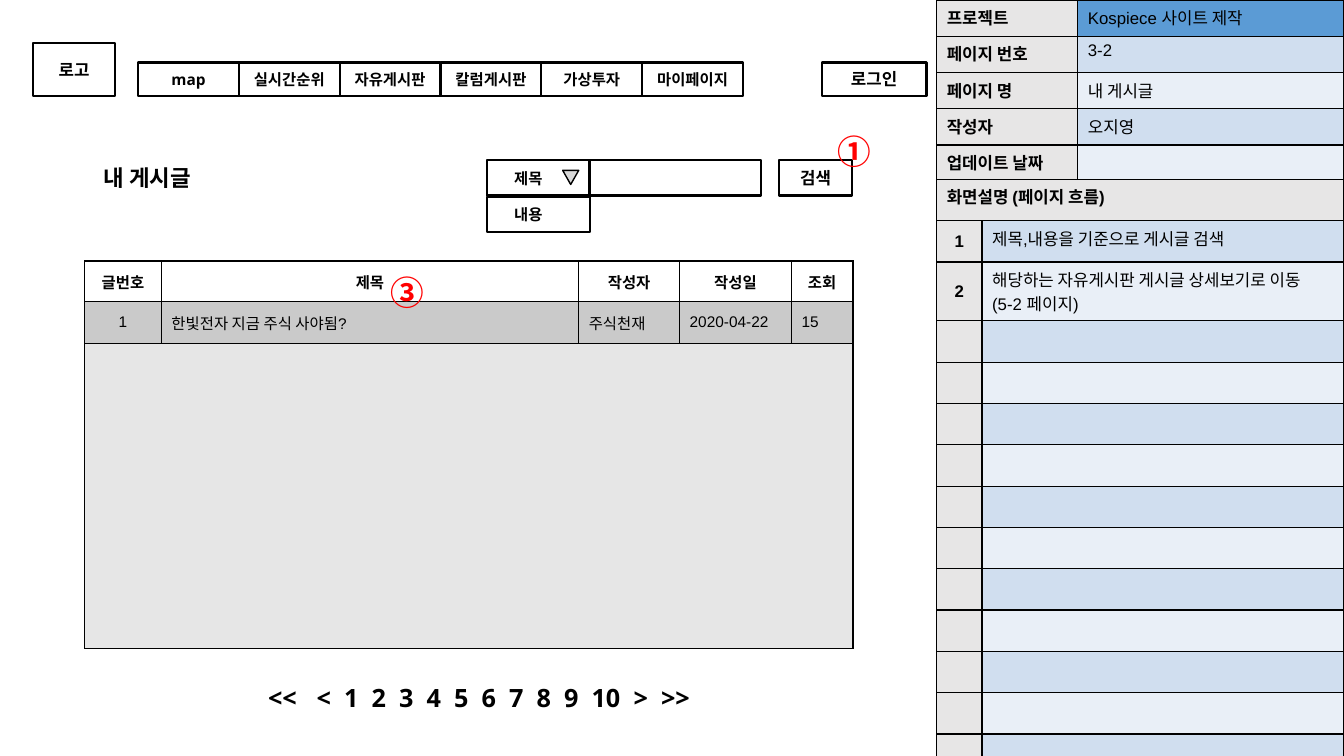
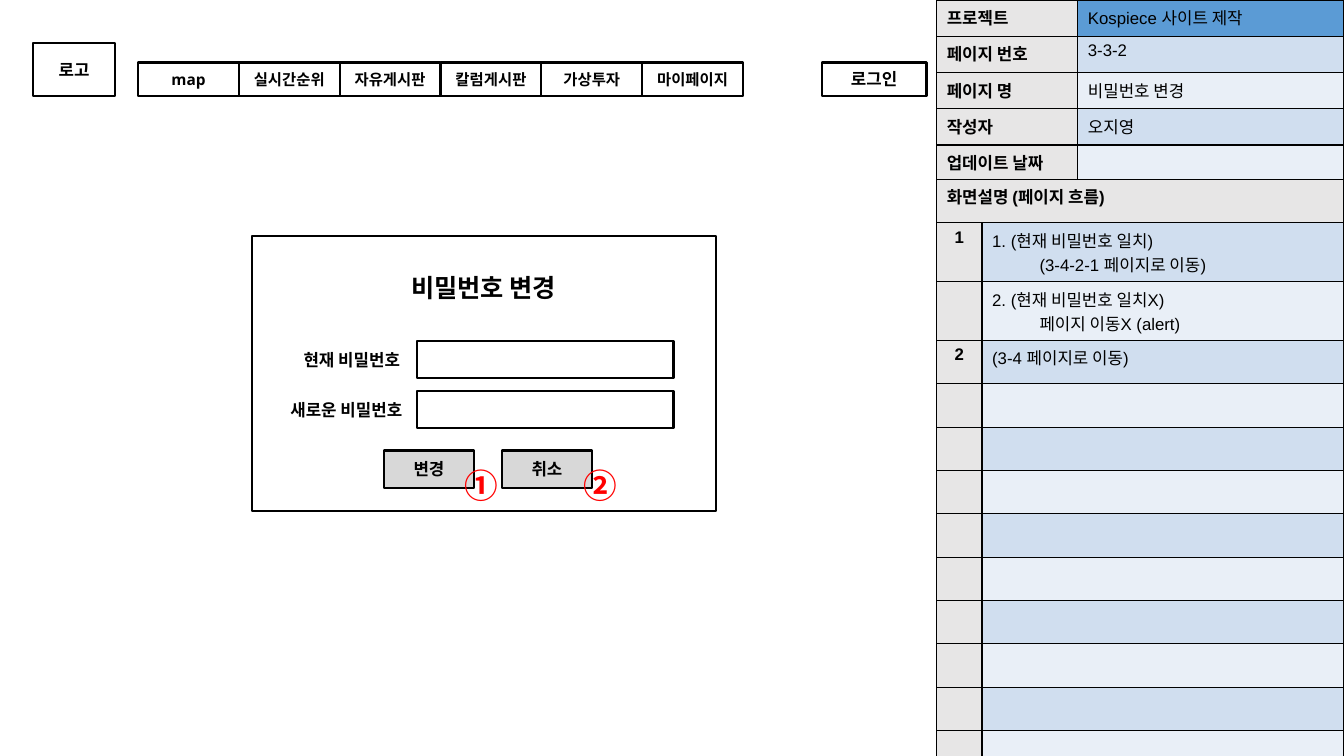
import dataclasses

import lxml.etree
import pptx
import pptx.dml.color
import pptx.enum.shapes
import pptx.enum.text
import pptx.oxml.ns
import pptx.util

Inches = pptx.util.Inches
Align = pptx.enum.text.PP_ALIGN
Anchor = pptx.enum.text.MSO_ANCHOR
Preset = pptx.enum.shapes.MSO_SHAPE
qn = pptx.oxml.ns.qn


@dataclasses.dataclass(frozen=True)
class Theme:
    ink: str = "000000"
    red: str = "FF0000"
    white: str = "FFFFFF"
    label_gray: str = "E7E6E6"
    button_gray: str = "D8D8D8"
    row_gray: str = "CACACA"
    empty_gray: str = "E6E6E6"
    project_blue: str = "5B9BD5"
    band_dark: str = "D0DEEF"
    band_light: str = "E9EFF7"
    screen_font: str = "Open Sans"
    table_font: str = "Arial"
    korean_font: str = "Noto Sans CJK KR"
    small: int = 11
    body: int = 12
    heading: int = 16
    large: int = 18
    badge: int = 24


theme = Theme()


def write(frame, text, size=theme.body, bold=True, color=theme.ink,
          font=theme.screen_font, align=Align.CENTER, indents=(0, 0), gaps=()):
    """Fill a text frame.

    indents: inches for the first and the later lines.
    gaps: points added to the first and the later spaces between words.
    """
    for number, line in enumerate(text.split("\n")):
        para = frame.paragraphs[0] if number == 0 else frame.add_paragraph()
        para.alignment = align
        properties = para._p.get_or_add_pPr()
        properties.set("marL", str(Inches(indents[min(number, 1)])))
        properties.set("indent", "0")
        if not line:
            lxml.etree.SubElement(para._p, qn("a:endParaRPr"), sz=str(size * 100))
            continue
        pieces = line.replace(" ", "\n \n").split("\n") if gaps else [line]
        for index, piece in enumerate(pieces):
            span = para.add_run()
            span.text = piece
            span.font.size = pptx.util.Pt(size)
            span.font.bold = bold
            span.font.name = font
            span.font.color.rgb = pptx.dml.color.RGBColor.from_string(color)
            run_properties = span._r.get_or_add_rPr()
            lxml.etree.SubElement(run_properties, qn("a:ea"), typeface=theme.korean_font)
            if piece == " ":
                run_properties.set("spc", str(round(gaps[min(index // 2, 1)] * 100)))


def add_grid(page, left, top, widths, heights, rows):
    """Add a bordered table; a row with one cell spans the full width."""
    table = page.shapes.add_table(len(heights), len(widths), Inches(left), Inches(top),
                                  Inches(sum(widths)), Inches(sum(heights))).table
    for column, width in zip(table.columns, widths):
        column.width = Inches(width)
    for index, (height, cells) in enumerate(zip(heights, rows)):
        table.rows[index].height = Inches(height)
        if len(cells) == 1:
            table.cell(index, 0).merge(table.cell(index, len(widths) - 1))
            cells = cells + [("", cells[0][1], Anchor.TOP, {})] * (len(widths) - 1)
        for position, (text, fill, anchor, style) in enumerate(cells):
            cell = table.cell(index, position)
            cell.vertical_anchor = anchor
            for side in ("lnL", "lnR", "lnT", "lnB"):
                border = lxml.etree.SubElement(cell._tc.get_or_add_tcPr(), qn("a:" + side),
                                               w=str(pptx.util.Pt(1)))
                solid = lxml.etree.SubElement(border, qn("a:solidFill"))
                lxml.etree.SubElement(solid, qn("a:srgbClr"), val=theme.ink)
            cell.fill.solid()
            cell.fill.fore_color.rgb = pptx.dml.color.RGBColor.from_string(fill)
            write(cell.text_frame, text, font=theme.table_font, **style)


# Formats used by many cells and boxes
label = {"align": Align.LEFT}
value = {"align": Align.LEFT, "bold": False}
hanging = {**value, "indents": (0, 0.47)}
small = {"size": theme.small}
option = {**small, "align": Align.LEFT, "indents": (0.17, 0)}
pager = {"size": theme.large, "gaps": (9.4, 4.7)}

# Boxes: text, left, top, width, height, fill, outlined, format
menu = ["map", "실시간순위", "자유게시판", "칼럼게시판", "가상투자", "마이페이지"]
header_boxes = [
    ("로고", 0.33, 0.43, 0.81, 0.52, None, True, {}),
    ("로그인", 8.15, 0.62, 1.04, 0.33, None, True, {}),
] + [(name, 1.37 + place, 0.62, 1, 0.33, None, True, small) for place, name in enumerate(menu)]

screens = [
    {
        "number": "3-2",
        "title": "내 게시글",
        "title_at": (0.93, 1.58, 1.87, 0.37),
        "title_style": {"size": theme.heading, "align": Align.LEFT},
        "note_heights": [0.41] * 13 + [0.32],
        "note_anchor": Anchor.MIDDLE,
        "notes": [("1", "제목,내용을 기준으로 게시글 검색", value),
                  ("2", "해당하는 자유게시판 게시글 상세보기로 이동\n(5-2 페이지)", value)],
        "boxes": [
            ("검색", 7.73, 1.59, 0.72, 0.35, None, True, {}),
            ("제목", 4.83, 1.59, 1.02, 0.35, None, True, option),
            ("내용", 4.83, 1.95, 1.02, 0.35, None, True, option),
            ("", 5.84, 1.59, 1.71, 0.35, None, True, {}),
            ("<< < 1 2 3 4 5 6 7 8 9 10 > >>", 2.31, 6.73, 4.88, 0.37, None, False, pager),
        ],
        "badges": [("①", 8.21, 1.25), ("③", 3.77, 2.65)],
    },
    {
        "number": "3-3-2",
        "title": "비밀번호 변경",
        "title_at": (3.89, 2.67, 1.81, 0.37),
        "title_style": {"size": theme.large},
        "note_heights": [0.43, 0.52, 0.52] + [0.43] * 10,
        "note_anchor": Anchor.TOP,
        "notes": [("1", "1. (현재 비밀번호 일치)\n(3-4-2-1 페이지로 이동)", hanging),
                  ("", "2. (현재 비밀번호 일치X)\n페이지 이동X (alert)", hanging),
                  ("2", "(3-4 페이지로 이동)", value)],
        "boxes": [
            ("", 2.5, 2.34, 4.6, 2.73, None, True, {}),
            ("", 4.14, 3.38, 2.54, 0.37, None, True, {}),
            ("", 4.14, 3.88, 2.54, 0.37, None, True, {}),
            ("현재 비밀번호", 2.86, 3.38, 1.26, 0.37, None, False, {}),
            ("새로운 비밀번호", 2.59, 3.88, 1.69, 0.37, None, False, {}),
            ("변경", 3.81, 4.47, 0.89, 0.37, theme.button_gray, True, {}),
            ("취소", 4.98, 4.47, 0.89, 0.37, theme.button_gray, True, {}),
        ],
        "badges": [("①", 4.51, 4.56), ("②", 5.69, 4.56)],
    },
]

deck = pptx.Presentation()
deck.slide_width = Inches(13.33)
deck.slide_height = Inches(7.5)
title_only = deck.slide_layouts[5]
bands = [theme.band_dark, theme.band_light]
panel_left = 9.29

for screen in screens:
    page = deck.slides.add_slide(title_only)

    # Title
    title = page.shapes.title
    title.left, title.top, title.width, title.height = map(Inches, screen["title_at"])
    frame = title.text_frame
    frame.auto_size = pptx.enum.text.MSO_AUTO_SIZE.NONE
    frame.vertical_anchor = Anchor.MIDDLE
    write(frame, screen["title"], **screen["title_style"])

    # Project details
    details = [("프로젝트", "Kospiece 사이트 제작"), ("페이지 번호", screen["number"]),
               ("페이지 명", screen["title"]), ("작성자", "오지영"), ("업데이트 날짜", "")]
    rows = []
    for index, (name, content) in enumerate(details):
        fill = bands[(index + 1) % 2] if index else theme.project_blue
        rows.append([(name, theme.label_gray, Anchor.TOP, label),
                     (content, fill, Anchor.TOP, value)])
    add_grid(page, panel_left, 0, [1.4, 2.64], [0.36] * len(rows), rows)

    # Screen description
    heights = screen["note_heights"]
    blanks = [("", "", value)] * (len(heights) - 1 - len(screen["notes"]))
    rows = [[("화면설명 (페이지 흐름)", theme.label_gray, Anchor.TOP, label)]]
    for index, (number, content, style) in enumerate(screen["notes"] + blanks):
        rows.append([(number, theme.label_gray, screen["note_anchor"], {}),
                     (content, bands[index % 2], Anchor.TOP, style)])
    add_grid(page, panel_left, 1.78, [0.45, 3.59], heights, rows)

    # Header menu, fields, buttons and labels
    for text, left, top, width, height, fill, outlined, style in header_boxes + screen["boxes"]:
        place = [Inches(length) for length in (left, top, width, height)]
        if outlined:
            box = page.shapes.add_shape(Preset.RECTANGLE, *place)
            box.shadow.inherit = False
            box.line.color.rgb = pptx.dml.color.RGBColor.from_string(theme.ink)
            box.line.width = pptx.util.Pt(1.5)
        else:
            box = page.shapes.add_textbox(*place)
        if fill:
            box.fill.solid()
            box.fill.fore_color.rgb = pptx.dml.color.RGBColor.from_string(fill)
        else:
            box.fill.background()
        frame = box.text_frame
        frame.word_wrap = True
        frame.vertical_anchor = Anchor.MIDDLE
        frame.margin_top = frame.margin_bottom = Inches(0.1)
        if text:
            write(frame, text, **style)

    # Post list and search arrow
    if screen is screens[0]:
        headings = ["글번호", "제목", "작성자", "작성일", "조회"]
        post = ["1", "한빛전자 지금 주식 사야됨?", "주식천재", "2020-04-22", "15"]
        rows = [
            [(text, theme.white, Anchor.MIDDLE, small) for text in headings],
            [(text, theme.row_gray, Anchor.MIDDLE,
              {**small, "bold": False, "align": Align.LEFT if index else Align.CENTER})
             for index, text in enumerate(post)],
            [("", theme.empty_gray, Anchor.TOP, small)],
        ]
        add_grid(page, 0.84, 2.59, [0.76, 4.14, 1, 1.11, 0.61], [0.4, 0.42, 3.02], rows)
        arrow = page.shapes.add_shape(Preset.ISOSCELES_TRIANGLE, Inches(5.58), Inches(1.69),
                                      Inches(0.16), Inches(0.14))
        arrow.rotation = 180
        arrow.shadow.inherit = False
        arrow.fill.solid()
        arrow.fill.fore_color.rgb = pptx.dml.color.RGBColor.from_string(theme.button_gray)
        arrow.line.color.rgb = pptx.dml.color.RGBColor.from_string(theme.ink)
        arrow.line.width = pptx.util.Pt(1)

    # Numbered badges
    for mark, left, top in screen["badges"]:
        badge = page.shapes.add_textbox(Inches(left), Inches(top), Inches(0.6), Inches(0.5))
        badge.text_frame.word_wrap = True
        write(badge.text_frame, mark, size=theme.badge, color=theme.red,
              font=theme.korean_font, align=Align.LEFT)

deck.save("out.pptx")
